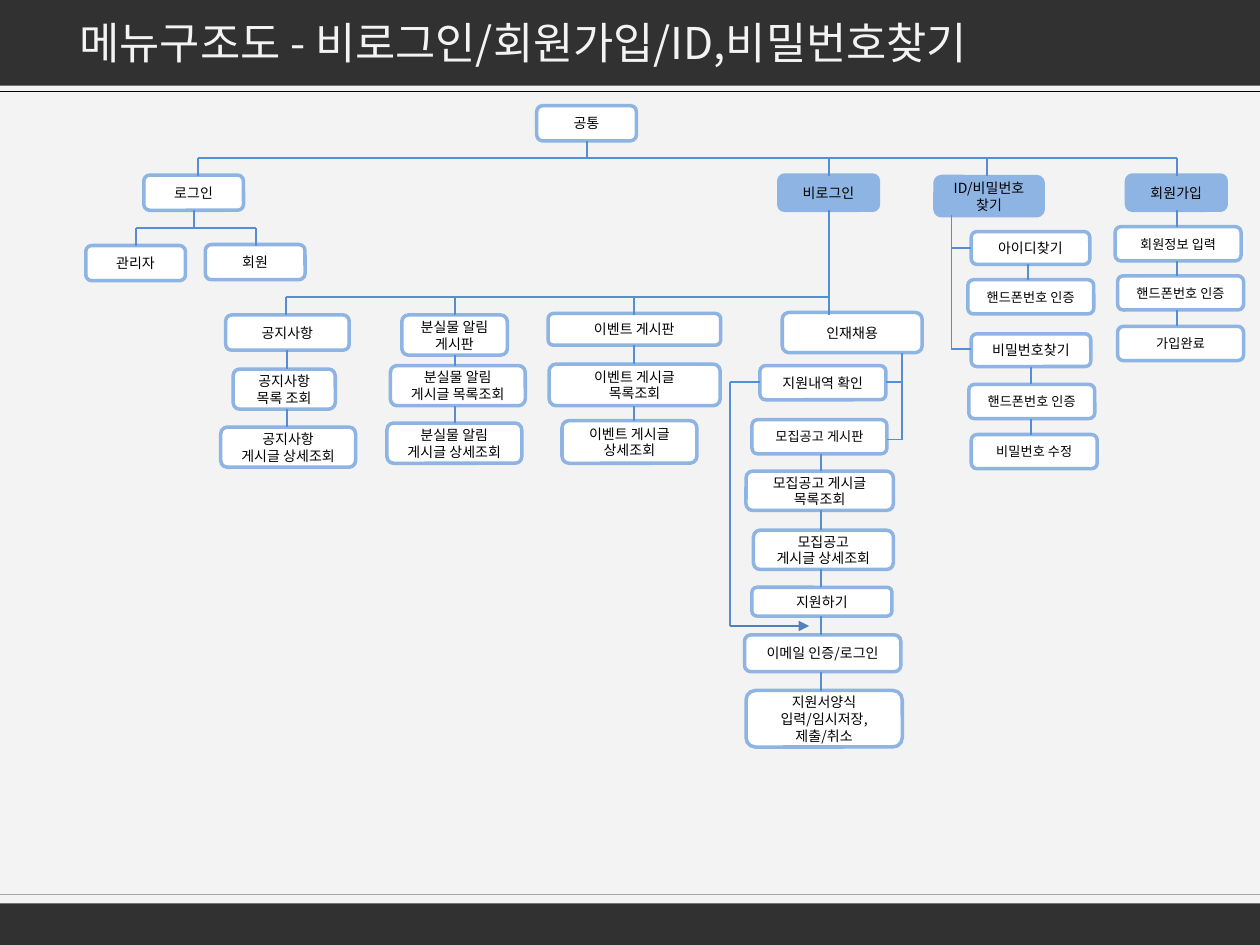
from dataclasses import dataclass
from itertools import pairwise

from lxml import etree
from pptx import Presentation
from pptx import util as u
from pptx.dml.color import RGBColor
from pptx.enum import shapes, text
from pptx.oxml import ns


@dataclass(frozen=True)
class Theme:
    font: str = "Noto Sans CJK KR"
    paper: str = "F3F3F3"
    bar: str = "313131"
    header_rule: str = "000000"
    footer_rule: str = "A6A6A6"
    ink: str = "000000"
    plain: str = "FFFFFF"
    accent: str = "8EB4E3"
    link: str = "558ED5"
    arrow: str = "4F81BD"
    title_size: float = 25
    menu_size: float = 8
    small_size: float = 7.5


@dataclass(frozen=True)
class Menu:
    label: str
    left: float
    top: float
    width: float = 2.01
    height: float = 0.71
    size: float = 8
    fill: str = "FFFFFF"


@dataclass(frozen=True)
class Flow:
    spine: float
    steps: tuple[Menu, ...]


@dataclass(frozen=True)
class Branch:
    stem: float
    top: float
    bus: float
    drops: tuple[float, ...]
    bottom: float


@dataclass(frozen=True)
class Link:
    x1: float
    y1: float
    x2: float
    y2: float
    color: str = "558ED5"
    weight: float = 1
    arrow: bool = False


THEME = Theme()
WIDTH, HEIGHT = 25.4, 19.05


def detail(label: str, left: float, top: float, width: float = 2.72, height: float = 0.81) -> Menu:
    return Menu(label, left, top, width, height)


def small(label: str, left: float, top: float, width: float = 2.54) -> Menu:
    return Menu(label, left, top, width, 0.69, THEME.small_size)


def entry(label: str, left: float, top: float = 3.53, width: float = 2.01, height: float = 0.71) -> Menu:
    return Menu(label, left, top, width, height, fill=THEME.accent)


MENUS = (
    Menu("공통", 10.82, 2.13),
    Menu("로그인", 2.9, 3.53),
    Menu("관리자", 1.73, 4.95),
    Menu("회원", 4.14, 4.93),
    entry("비로그인", 15.7),
    entry("ID/비밀번호 찾기", 18.85, 3.56, 2.18, 0.79),
    detail("인재채용", 15.77, 6.3, 2.82),
    detail("지원내역 확인", 15.32, 7.37, 2.54, 0.69),
)

FLOWS = (
    Flow(5.79, (
        Menu("공지사항", 4.55, 6.35, 2.49),
        detail("공지사항 목록 조회", 4.7, 7.44, 2.06),
        detail("공지사항\n게시글 상세조회", 4.45, 8.61),
    )),
    Flow(9.17, (
        detail("분실물 알림\n게시판", 8.1, 6.35, 2.13),
        detail("분실물 알림\n게시글 목록조회", 7.87, 7.37),
        detail("분실물 알림\n게시글 상세조회", 7.8, 8.53),
    )),
    Flow(12.78, (
        detail("이벤트 게시판", 11.05, 6.32, 3.48, 0.64),
        detail("이벤트 게시글\n목록조회", 11.07, 7.34, 3.45, 0.84),
        detail("이벤트 게시글\n상세조회", 11.33, 8.48, 2.72, 0.86),
    )),
    Flow(16.55, (
        small("모집공고 게시판", 15.16, 8.46, 2.72),
        detail("모집공고 게시글\n목록조회", 15.04, 9.5, 2.97, 0.79),
        detail("모집공고\n게시글 상세조회", 15.19, 10.69, 2.82, 0.79),
        detail("지원하기", 15.16, 11.84, 2.82, 0.58),
        detail("이메일 인증/로그인", 15.01, 12.8, 3.15, 0.74),
        detail("지원서양식\n입력/임시저장,\n제출/취소", 15.04, 13.92, 3.15, 1.14),
    )),
    Flow(20.73, (
        detail("아이디찾기", 19.58, 4.67, 2.39, 0.66),
        small("핸드폰번호 인증", 19.51, 5.64),
    )),
    Flow(20.78, (
        detail("비밀번호찾기", 19.58, 6.73, 2.41, 0.66),
        small("핸드폰번호 인증", 19.53, 7.75),
        small("비밀번호 수정", 19.58, 8.76),
    )),
    Flow(23.73, (
        entry("회원가입", 22.71),
        small("회원정보 입력", 22.48, 4.57),
        small("핸드폰번호 인증", 22.53, 5.56),
        small("가입완료", 22.53, 6.58),
    )),
)

BRANCHES = (
    Branch(11.84, 2.84, 3.18, (3.99, 16.71, 19.89, 23.72), 3.54),
    Branch(3.91, 4.24, 4.6, (2.74, 5.16), 4.95),
    Branch(16.71, 4.24, 5.99, (5.77, 9.17, 12.78, 16.71), 6.34),
)

LINKS = (
    Link(19.18, 4.34, 19.18, 7.04),
    Link(19.58, 5, 19.18, 5),
    Link(19.58, 7.04, 19.18, 7.04),
    Link(18.19, 7.11, 18.19, 8.86),
    Link(18.19, 7.7, 17.86, 7.7),
    Link(18.19, 8.86, 17.88, 8.86),
    Link(15.32, 7.7, 14.71, 7.7),
    Link(14.71, 7.7, 14.71, 12.62),
    Link(14.71, 12.62, 16.31, 12.62, THEME.arrow, 0.75, True),
)


def style_paragraph(paragraph, size: float, color: str, align) -> None:
    paragraph.alignment = align
    font = paragraph.font
    font.size = u.Pt(size)
    font.color.rgb = RGBColor.from_string(color)
    font.name = THEME.font
    etree.SubElement(font._element, ns.qn("a:ea"), typeface=THEME.font)


def draw_bar(slide, top: float, height: float) -> None:
    bar = slide.shapes.add_shape(
        shapes.MSO_SHAPE.RECTANGLE, 0, u.Cm(top), u.Cm(WIDTH), u.Cm(height))
    bar.shadow.inherit = False
    bar.fill.solid()
    bar.fill.fore_color.rgb = RGBColor.from_string(THEME.bar)
    bar.line.fill.background()


def draw_link(slide, link: Link) -> None:
    connector = slide.shapes.add_connector(
        shapes.MSO_CONNECTOR.STRAIGHT,
        u.Cm(link.x1), u.Cm(link.y1), u.Cm(link.x2), u.Cm(link.y2))
    connector.line.color.rgb = RGBColor.from_string(link.color)
    connector.line.width = u.Pt(link.weight)
    properties = connector._element.spPr
    if link.arrow:
        etree.SubElement(properties.find(ns.qn("a:ln")), ns.qn("a:tailEnd"), type="triangle")
    etree.SubElement(properties, ns.qn("a:effectLst"))


def draw_menu(slide, menu: Menu) -> None:
    box = slide.shapes.add_shape(
        shapes.MSO_SHAPE.ROUNDED_RECTANGLE,
        u.Cm(menu.left), u.Cm(menu.top), u.Cm(menu.width), u.Cm(menu.height))
    box.shadow.inherit = False
    box.fill.solid()
    box.fill.fore_color.rgb = RGBColor.from_string(menu.fill)
    box.line.color.rgb = RGBColor.from_string(THEME.accent)
    box.line.width = u.Pt(2)
    frame = box.text_frame
    frame.text = menu.label
    frame.vertical_anchor = text.MSO_ANCHOR.MIDDLE
    for paragraph in frame.paragraphs:
        style_paragraph(paragraph, menu.size, THEME.ink, text.PP_ALIGN.CENTER)


def draw_branch(slide, branch: Branch) -> None:
    draw_link(slide, Link(branch.stem, branch.top, branch.stem, branch.bus))
    draw_link(slide, Link(min(branch.drops), branch.bus, max(branch.drops), branch.bus))
    for x in branch.drops:
        draw_link(slide, Link(x, branch.bus, x, branch.bottom))


def draw_flow(slide, flow: Flow) -> None:
    for step in flow.steps:
        draw_menu(slide, step)
    for upper, lower in pairwise(flow.steps):
        draw_link(slide, Link(flow.spine, upper.top + upper.height, flow.spine, lower.top))


def draw_title(slide, label: str) -> None:
    title = slide.shapes.title
    slide.shapes._spTree.append(title._element)
    title.left, title.top, title.width, title.height = map(u.Cm, (1.35, 0.2, 21.13, 1.32))
    frame = title.text_frame
    frame.text = label
    frame.vertical_anchor = text.MSO_ANCHOR.TOP
    frame.auto_size = text.MSO_AUTO_SIZE.SHAPE_TO_FIT_TEXT
    style_paragraph(frame.paragraphs[0], THEME.title_size, THEME.paper, text.PP_ALIGN.LEFT)
    outline = etree.Element(ns.qn("a:ln"), w=str(u.Pt(0.75)))
    fill = etree.SubElement(outline, ns.qn("a:solidFill"))
    color = etree.SubElement(fill, ns.qn("a:srgbClr"), val=THEME.paper)
    etree.SubElement(color, ns.qn("a:alpha"), val="30000")
    frame.paragraphs[0].font._element.insert(0, outline)


def main() -> None:
    deck = Presentation()
    deck.slide_width, deck.slide_height = u.Cm(WIDTH), u.Cm(HEIGHT)
    slide = deck.slides.add_slide(deck.slide_layouts[5])
    slide.background.fill.solid()
    slide.background.fill.fore_color.rgb = RGBColor.from_string(THEME.paper)
    draw_bar(slide, 18.21, 0.99)
    draw_bar(slide, 0, 1.73)
    draw_link(slide, Link(WIDTH, 1.85, 0, 1.85, THEME.header_rule, 0.75))
    draw_link(slide, Link(WIDTH, 18.03, 0, 18.03, THEME.footer_rule, 0.75))
    draw_title(slide, "메뉴구조도 - 비로그인/회원가입/ID,비밀번호찾기")
    for menu in MENUS:
        draw_menu(slide, menu)
    for flow in FLOWS:
        draw_flow(slide, flow)
    for branch in BRANCHES:
        draw_branch(slide, branch)
    for link in LINKS:
        draw_link(slide, link)
    deck.save("out.pptx")


if __name__ == "__main__":
    main()
